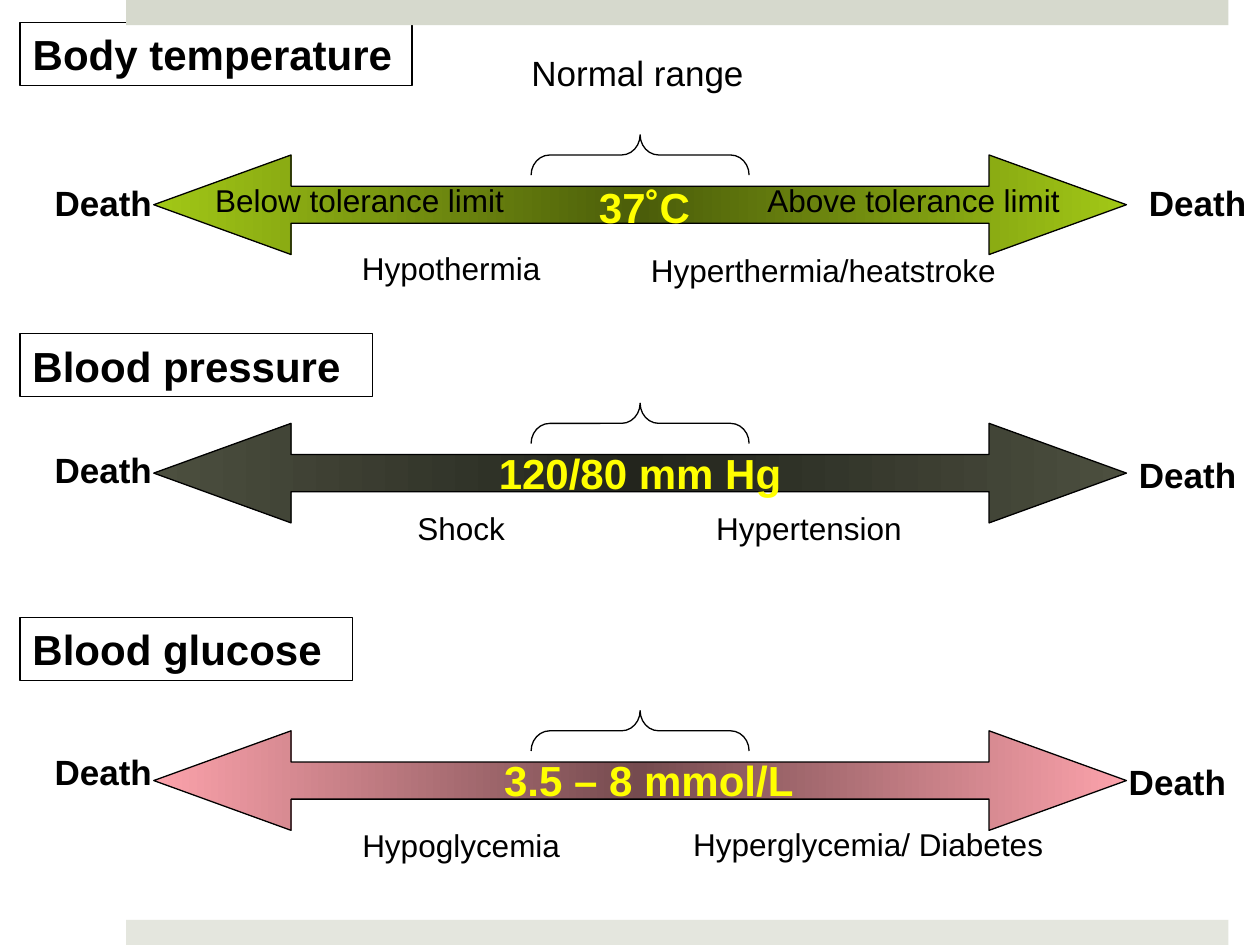
import copy

import pptx
import pptx.dml.color
import pptx.enum.shapes
import pptx.enum.text
import pptx.util

RGBColor = pptx.dml.color.RGBColor
MSO_SHAPE = pptx.enum.shapes.MSO_SHAPE
PP_ALIGN = pptx.enum.text.PP_ALIGN

BLACK = RGBColor(0x00, 0x00, 0x00)
YELLOW = RGBColor(0xFF, 0xFF, 0x00)
TOP_BAND = RGBColor(0xD6, 0xD9, 0xCD)
BOTTOM_BAND = RGBColor(0xE4, 0xE6, 0xDE)
LIME = RGBColor(0xA2, 0xC8, 0x16)
DARK_LIME = RGBColor(0x4B, 0x5D, 0x0A)
OLIVE = RGBColor(0x4C, 0x4F, 0x3F)
DARK_OLIVE = RGBColor(0x23, 0x25, 0x1D)
PINK = RGBColor(0xFC, 0xA2, 0xAB)
DARK_PINK = RGBColor(0x75, 0x4B, 0x4F)

COLUMNS, ROWS = 100, 75
SLIDE_WIDTH = pptx.util.Inches(10)
SLIDE_HEIGHT = pptx.util.Inches(7.5)
ARROW_LEFT, ARROW_WIDTH, ARROW_HEIGHT = 12.2, 77.2, 7.9
BRACE_WIDTH, BRACE_HEIGHT = 17.3, 3.2
BOX_HEIGHTS = {18: 4, 20: 4.4, 24: 5}

SCALES = [
    dict(
        heading=("Body temperature", 1.8, 31.1), arrow_top=12.3, colors=(LIME, DARK_LIME),
        deaths=((2.7, 13.9), (90.2, 13.9)), normal=("37˚C", 40.5, 13.9, 21.3),
        notes=[("Hypothermia", 23.2, 19.3, 25.2), ("Hyperthermia/heatstroke", 50, 19.4, 30.7)],
    ),
    dict(
        heading=("Blood pressure", 26.5, 28), arrow_top=33.6, colors=(OLIVE, DARK_OLIVE),
        deaths=((2.7, 35.1), (89.4, 35.5)), normal=("120/80 mm Hg", 37.8, 35, 26),
        notes=[("Shock", 24, 39.9, 25.2), ("Hypertension", 51.6, 39.9, 25.2)],
    ),
    dict(
        heading=("Blood glucose", 49, 26.4), arrow_top=58, colors=(PINK, DARK_PINK),
        deaths=((2.7, 59.1), (88.6, 59.9)), normal=("3.5 – 8 mmol/L", 38.5, 59.4, 26),
        notes=[("Hypoglycemia", 24, 65.1, 25.2), ("Hyperglycemia/ Diabetes", 50, 65, 37.8)],
    ),
]


def grid_box(column, row, columns, rows):
    return (
        round(SLIDE_WIDTH * column / COLUMNS),
        round(SLIDE_HEIGHT * row / ROWS),
        round(SLIDE_WIDTH * columns / COLUMNS),
        round(SLIDE_HEIGHT * rows / ROWS),
    )


def outline(shape):
    shape.line.color.rgb = BLACK
    shape.line.width = pptx.util.Pt(0.75)


def add_shape(slide, kind, box):
    shape = slide.shapes.add_shape(kind, *grid_box(*box))
    shape.shadow.inherit = False
    return shape


def add_band(slide, row, color):
    band = add_shape(slide, MSO_SHAPE.RECTANGLE, (10, row, 87.5, 2))
    band.fill.solid()
    band.fill.fore_color.rgb = color
    band.line.fill.background()


def add_arrow(slide, top, edge_color, middle_color):
    arrow = add_shape(
        slide, MSO_SHAPE.LEFT_RIGHT_ARROW, (ARROW_LEFT, top, ARROW_WIDTH, ARROW_HEIGHT)
    )
    arrow.adjustments[0] = 0.373
    arrow.adjustments[1] = 1.38
    arrow.fill.gradient()
    arrow.fill.gradient_angle = 0
    first_stop = arrow.fill._fill._gradFill.gsLst[0]
    first_stop.addnext(copy.deepcopy(first_stop))
    stops = zip(arrow.fill.gradient_stops, (0, 0.5, 1), (edge_color, middle_color, edge_color))
    for stop, position, color in stops:
        stop.position = position
        stop.color.rgb = color
    outline(arrow)


def add_brace(slide, middle_row):
    center = ARROW_LEFT + ARROW_WIDTH / 2
    box = (center - BRACE_HEIGHT / 2, middle_row - BRACE_WIDTH / 2, BRACE_HEIGHT, BRACE_WIDTH)
    brace = add_shape(slide, MSO_SHAPE.LEFT_BRACE, box)
    brace.adjustments[0] = 0.46
    brace.rotation = 90
    brace.fill.background()
    outline(brace)


def write_text(shape, text, size=18, bold=False, color=BLACK, align=PP_ALIGN.LEFT):
    frame = shape.text_frame
    frame.word_wrap = True
    frame.auto_size = pptx.enum.text.MSO_AUTO_SIZE.NONE
    frame.vertical_anchor = pptx.enum.text.MSO_ANCHOR.TOP
    paragraph = frame.paragraphs[0]
    paragraph.alignment = align
    run = paragraph.add_run()
    run.text = text
    run.font.name = "Arial"
    run.font.size = pptx.util.Pt(size)
    run.font.bold = bold
    run.font.color.rgb = color


def add_label(slide, text, column, row, columns, size=18, **text_format):
    box = grid_box(column, row, columns, BOX_HEIGHTS[size])
    write_text(slide.shapes.add_textbox(*box), text, size=size, **text_format)


def add_heading(slide, text, row, columns):
    box = (1.6, row, columns, BOX_HEIGHTS[24])
    title = slide.shapes.title
    if title.has_text_frame and not title.text_frame.text:
        heading = title
        heading.left, heading.top, heading.width, heading.height = grid_box(*box)
    else:
        heading = add_shape(slide, MSO_SHAPE.RECTANGLE, box)
    heading.fill.background()
    outline(heading)
    write_text(heading, text, size=24, bold=True)


def add_scale(slide, heading, arrow_top, colors, deaths, normal, notes):
    add_arrow(slide, arrow_top, *colors)
    add_brace(slide, arrow_top)
    add_heading(slide, *heading)
    left_death, right_death = deaths
    add_label(slide, "Death", *left_death, 11, size=20, bold=True, align=PP_ALIGN.CENTER)
    add_label(slide, "Death", *right_death, 9.8, size=20, bold=True)
    add_label(slide, *normal, size=24, bold=True, color=YELLOW, align=PP_ALIGN.CENTER)
    for note in notes:
        add_label(slide, *note, align=PP_ALIGN.CENTER)


def main():
    presentation = pptx.Presentation()
    presentation.slide_width = SLIDE_WIDTH
    presentation.slide_height = SLIDE_HEIGHT
    slide = presentation.slides.add_slide(presentation.slide_layouts.get_by_name("Title Only"))
    add_band(slide, 0, TOP_BAND)
    add_band(slide, 73, BOTTOM_BAND)
    for scale in SCALES:
        add_scale(slide, **scale)
    add_label(slide, "Normal range", 32.7, 3.6, 35.8, size=20, align=PP_ALIGN.CENTER)
    add_label(slide, "Below tolerance limit", 16.1, 13.9, 25.2)
    add_label(slide, "Above tolerance limit", 58.7, 13.9, 26.4, align=PP_ALIGN.RIGHT)
    presentation.save("out.pptx")


if __name__ == "__main__":
    main()
